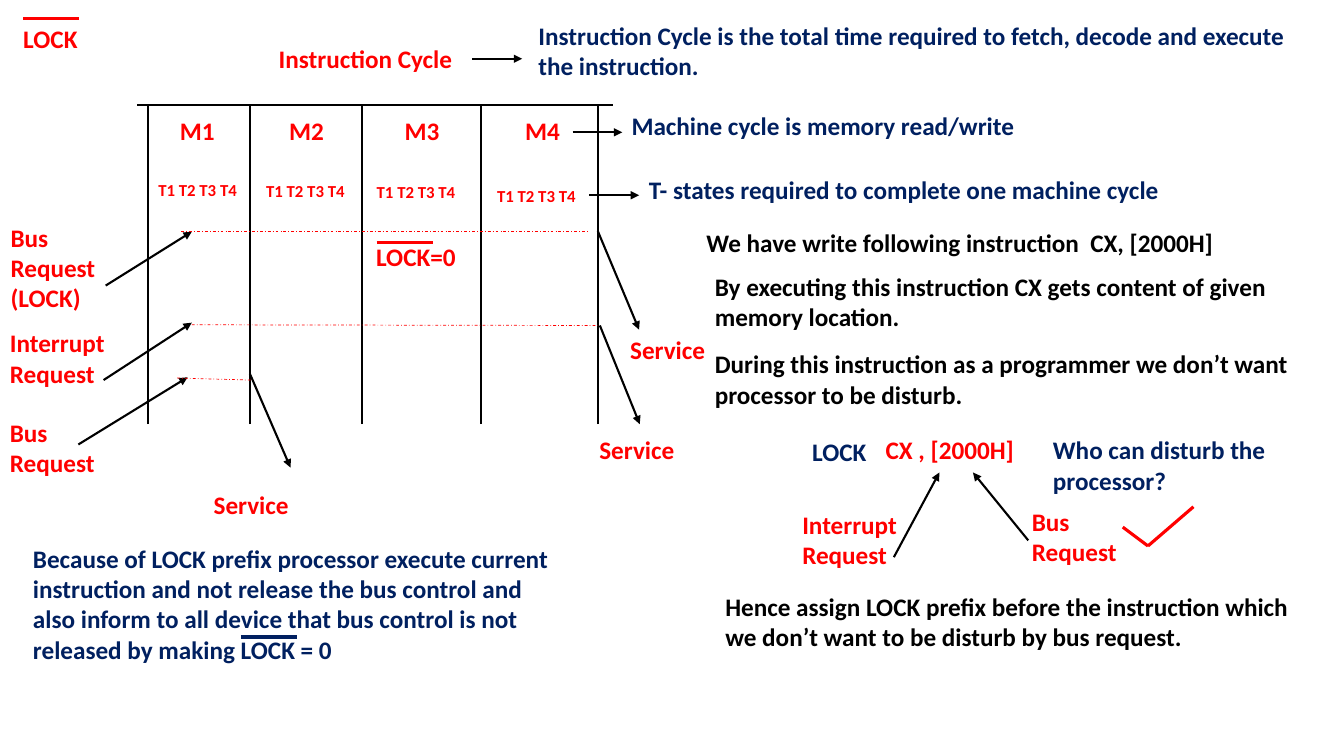
"""Build the slide that explains the LOCK prefix and the instruction cycle."""
from lxml.etree import SubElement
from pptx import Presentation
from pptx.dml.color import RGBColor
from pptx.enum.dml import MSO_LINE_DASH_STYLE as Dash
from pptx.enum.shapes import MSO_CONNECTOR as Connector
from pptx.enum.text import MSO_AUTO_SIZE as AutoSize
from pptx.oxml.ns import qn
from pptx.util import Pt

RED = RGBColor(0xFF, 0x00, 0x00)
NAVY = RGBColor(0x00, 0x20, 0x60)
BLACK = RGBColor(0x00, 0x00, 0x00)

GRID_TOP, GRID_BOTTOM = 75, 303
GRID_EDGES = [106, 178.5, 258.5, 343.5, 427]
CYCLES = [
    ("M1", 121.5, 106, 124.5),
    ("M2", 199.5, 183, 125.5),
    ("M3", 282, 262, 126),
    ("M4", 368, 348, 129),
]
LABELS = [
    ("Instruction Cycle", 192, 27.5, 163.5, RED),
    ("Instruction Cycle is the total time required to fetch, decode and execute "
     "the instruction.", 377.5, 11, 566, NAVY),
    ("Machine cycle is memory read/write", 444, 75.5, 301, NAVY),
    ("T- states required to complete one machine cycle", 456.5, 121, 382.5, NAVY),
    ("Bus Request\n(LOCK)", 0.5, 155, 94.5, RED),
    ("Interrupt Request", 0, 230.5, 94.5, RED),
    ("Bus Request", 0, 294.5, 94.5, RED),
    ("Service", 443, 235.5, 74, RED),
    ("Service", 421, 307, 74, RED),
    ("Service", 145.5, 346, 74, RED),
    ("LOCK=0", 261.5, 169, 98, RED),
    ("We have write following instruction  CX, [2000H]", 497.5, 158.5, 438.5, BLACK),
    ("By executing this instruction CX gets content of given memory location.",
     503.5, 190, 438.5, BLACK),
    ("During this instruction as a programmer we don’t want processor to be disturb.",
     503.5, 245.5, 438.5, BLACK),
    ("LOCK", 573, 308, 59, NAVY),
    ("CX , [2000H]", 625.5, 307, 109, RED),
    ("Who can disturb the processor?", 745, 307, 215, NAVY),
    ("Interrupt Request", 566, 360, 94.5, RED),
    ("Bus Request", 730, 358, 94.5, RED),
    ("Hence assign LOCK prefix before the instruction which we don’t want to be "
     "disturb by bus request.", 511, 419, 438.5, BLACK),
    ("Because of LOCK prefix processor execute current instruction and not release "
     "the bus control and also inform to all device that bus control is not released "
     "by making LOCK = 0", 16.5, 384.5, 382.5, NAVY),
]
ARROWS = [
    (337.5, 42, 373, 42),
    (409, 94.5, 444.5, 94.5),
    (421, 139.5, 456.5, 139.5),
    (75.5, 204, 137, 165.5),
    (74, 271.5, 137, 230.5),
    (56, 317.5, 134, 269.5),
    (427, 165, 456.5, 235.5),
    (428.5, 232.5, 457, 303),
    (178.5, 267, 207.5, 334),
    (638.5, 398, 671, 337.5),
    (734.5, 386, 695, 337.5),
]
WAITS = [
    (129.5, 165.5, 420, 165.5),
    (137, 232, 427, 232.5),
    (126.5, 270, 179, 271.5),
]
OVERLINES = [(16.5, 13, RED), (269, 173.5, RED), (172, 455, NAVY)]
OVERLINE_WIDTH = 40
CHECK_MARK = [(802, 376.5), (820, 390), (852.5, 362)]


def add_label(page, text, left, top, width, color, size=18, wrap=True):
    """Add a bold text box."""
    box = page.shapes.add_textbox(Pt(left), Pt(top), Pt(width), Pt(size * 1.2 + 7.2))
    frame = box.text_frame
    frame.word_wrap = wrap
    frame.auto_size = AutoSize.SHAPE_TO_FIT_TEXT
    frame.text = text
    for para in frame.paragraphs:
        font = para.font
        font.name, font.size, font.bold = "Calibri", Pt(size), True
        font.color.rgb = color


def add_line(page, x1, y1, x2, y2, color=BLACK, weight=1.5):
    """Add a straight line without shadow and return it."""
    line = page.shapes.add_connector(Connector.STRAIGHT, Pt(x1), Pt(y1), Pt(x2), Pt(y2))
    line.line.color.rgb = color
    line.line.width = Pt(weight)
    SubElement(line._element.spPr, qn("a:effectLst"))
    return line


def add_arrow(page, x1, y1, x2, y2):
    """Add a line that ends in a triangle."""
    arrow = add_line(page, x1, y1, x2, y2)
    SubElement(arrow.line._get_or_add_ln(), qn("a:tailEnd"), type="triangle")


def add_cycle_grid(page):
    """Draw the machine cycle columns with their headings and T-states."""
    add_line(page, 98, GRID_TOP, 438, GRID_TOP)
    for edge in GRID_EDGES:
        add_line(page, edge, GRID_BOTTOM, edge, GRID_TOP)
    for name, name_left, states_left, states_top in CYCLES:
        add_label(page, name, name_left, 79, 52.5, RED)
        add_label(page, "T1 T2 T3 T4", states_left, states_top, 72.5, RED, size=12)


def main():
    """Build and save the deck."""
    deck = Presentation()
    deck.slide_width, deck.slide_height = Pt(960), Pt(540)
    page = deck.slides.add_slide(deck.slide_layouts[6])
    add_cycle_grid(page)
    add_label(page, "LOCK", 9.5, 13, 54, RED, wrap=False)
    for label in LABELS:
        add_label(page, *label)
    for arrow in ARROWS:
        add_arrow(page, *arrow)
    for wait in WAITS:
        add_line(page, *wait, RED, 0.5).line.dash_style = Dash.DASH_DOT
    for left, top, color in OVERLINES:
        add_line(page, left, top, left + OVERLINE_WIDTH, top, color, 2.25)
    for start, end in zip(CHECK_MARK, CHECK_MARK[1:]):
        add_line(page, *start, *end, RED, 2.25)
    deck.save("out.pptx")


if __name__ == "__main__":
    main()
